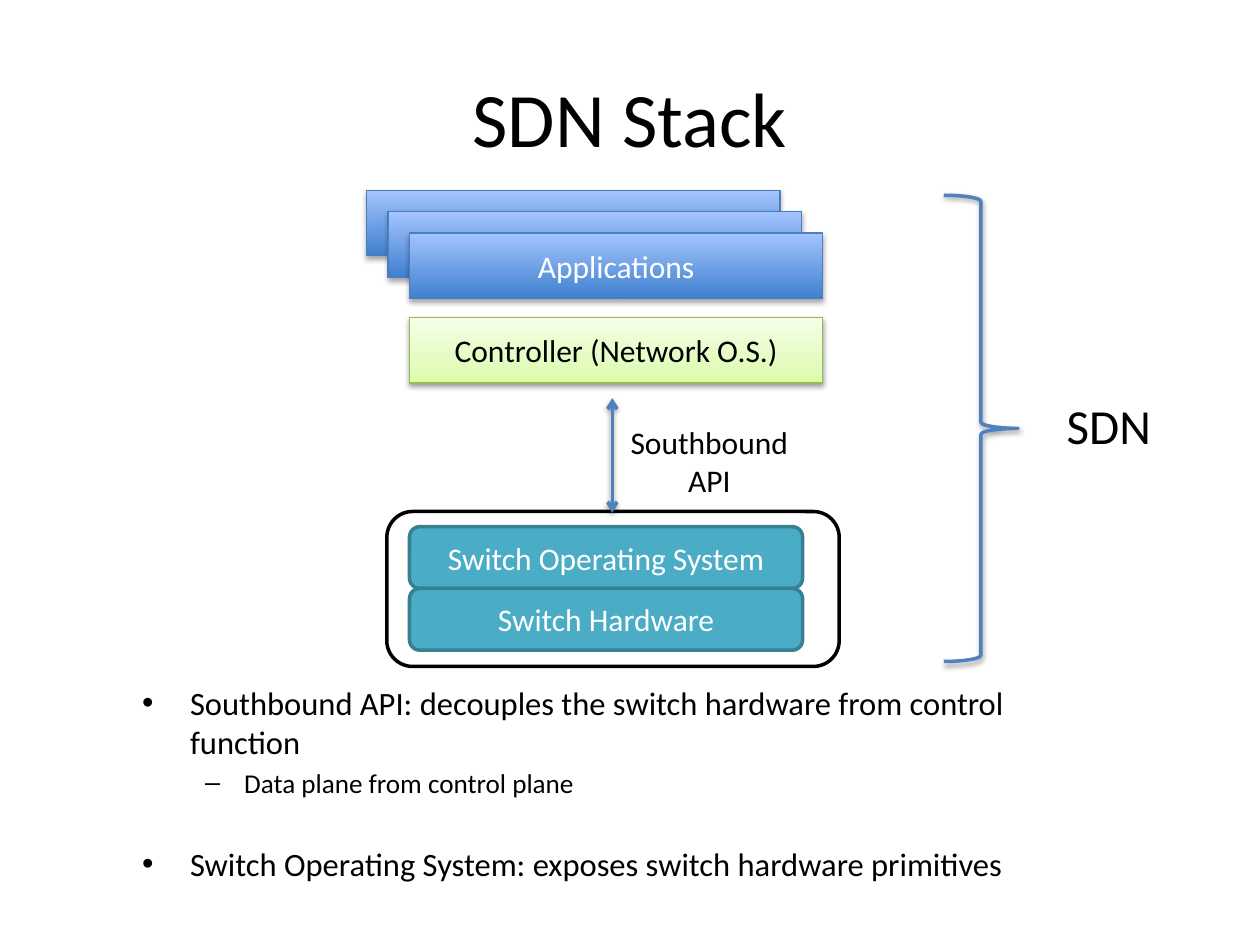
"""Build the SDN Stack slide."""
from pptx import Presentation
from pptx.dml.color import RGBColor
from pptx.enum.shapes import MSO_CONNECTOR, MSO_SHAPE as Preset
from pptx.enum.text import MSO_ANCHOR as Anchor, PP_ALIGN as Align
from pptx.oxml import parse_xml
from pptx.oxml.ns import nsdecls
from pptx.util import Inches, Pt

BLACK = RGBColor(0x00, 0x00, 0x00)
WHITE = RGBColor(0xFF, 0xFF, 0xFF)
BLUE = RGBColor(0x4F, 0x81, 0xBD)
BLUE_EDGE = RGBColor(0x4B, 0x7E, 0xBC)
GREEN_EDGE = RGBColor(0x98, 0xB9, 0x55)
TEAL = RGBColor(0x4B, 0xAC, 0xC6)
TEAL_EDGE = RGBColor(0x37, 0x7F, 0x92)
BLUE_FADE = [(0, RGBColor(0x3F, 0x80, 0xCE)), (100, RGBColor(0xA4, 0xC4, 0xFF))]
GREEN_FADE = [(0, RGBColor(0xDA, 0xFD, 0xA7)), (35, RGBColor(0xE4, 0xFC, 0xC2)),
              (100, RGBColor(0xF5, 0xFF, 0xE7))]

SOFT = {"alpha": 38, "distance": 1.6}
APP_SHADOW = {"alpha": 35, "distance": 1.8}
LAYER_LEFT = 3.25
LAYER_SIZE = (3.28, 0.52)
APP_TOP, APP_STEP = 1.85, 0.17
APPLICATIONS = ["", "", "Applications"]
SWITCH_LAYERS = ["Switch Operating System", "Switch Hardware"]
SWITCH_TOP, SWITCH_SIZE = 4.18, (3.12, 0.49)
LABELS = [
    ((0.5, 0.3, 9, 1.25), ["SDN Stack"], 44, {"wrap": True, "anchor": Anchor.MIDDLE}),
    ((4.9, 3.31, 1.46, 0.71), ["Southbound", "API"], 18, {}),
    ((8.36, 3.09, 0.88, 0.57), ["SDN"], 28, {}),
]
NOTES_AREA = (1.03, 5.37, 7.05, 1.73)
NOTES = [
    (0, "Southbound API: decouples the switch hardware from control function", 3.7),
    (1, "Data plane from control plane", 3.1),
    (0, "Switch Operating System: exposes switch hardware primitives", 25.7),
]
NOTE_LEVELS = [
    {"size": 18.6, "left": 0.38, "hang": 0.38, "bullet": "•"},
    {"size": 15.5, "left": 0.81, "hang": 0.31, "bullet": "–"},
]


def write(para, text, size, color=BLACK, align=Align.CENTER):
    para.alignment = align
    span = para.add_run()
    span.text = text
    formats = {"name": "Calibri", "size": Pt(size)}
    for name, value in formats.items():
        setattr(span.font, name, value)
    span.font.color.rgb = color


def set_gradient(shape, stops):
    shape.fill.background()
    marks = "".join(f'<a:gs pos="{place * 1000}"><a:srgbClr val="{color}"/></a:gs>'
                    for place, color in stops)
    fade = parse_xml(f'<a:gradFill {nsdecls("a")} rotWithShape="1"><a:gsLst>{marks}</a:gsLst>'
                     '<a:lin ang="16200000" scaled="0"/></a:gradFill>')
    properties = shape.element.spPr
    properties.replace(properties.find("{*}noFill"), fade)


def set_effect(shape, shadow):
    content = ""
    if shadow:
        content = (f'<a:outerShdw blurRad="{Pt(3.1)}" dist="{Pt(shadow["distance"])}" '
                   'dir="5400000" rotWithShape="0"><a:srgbClr val="000000">'
                   f'<a:alpha val="{shadow["alpha"] * 1000}"/></a:srgbClr></a:outerShdw>')
    shape.element.spPr.append(
        parse_xml(f'<a:effectLst {nsdecls("a")}>{content}</a:effectLst>'))


def set_line(shape, color, width):
    shape.line.color.rgb = color
    shape.line.width = Pt(width)


def add_box(page, preset, area, fill, edge, width, text="", color=WHITE, shadow=None):
    box = page.shapes.add_shape(preset, *map(Inches, area))
    if isinstance(fill, list):
        set_gradient(box, fill)
    elif fill is None:
        box.fill.background()
    else:
        box.fill.solid()
        box.fill.fore_color.rgb = fill
    set_line(box, edge, width)
    set_effect(box, shadow)
    if text:
        box.text_frame.vertical_anchor = Anchor.MIDDLE
        write(box.text_frame.paragraphs[0], text, 18, color)


def add_label(page, area, lines, size, wrap=False, anchor=Anchor.TOP):
    frame = page.shapes.add_textbox(*map(Inches, area)).text_frame
    frame.word_wrap = wrap
    frame.vertical_anchor = anchor
    for index, line in enumerate(lines):
        para = frame.add_paragraph() if index else frame.paragraphs[0]
        write(para, line, size)


def add_notes(page):
    frame = page.shapes.add_textbox(*map(Inches, NOTES_AREA)).text_frame
    frame.word_wrap = True
    for index, (level, text, space) in enumerate(NOTES):
        style = NOTE_LEVELS[level]
        para = frame.add_paragraph() if index else frame.paragraphs[0]
        para.level = level
        para.space_before = Pt(space)
        write(para, text, style["size"], align=Align.LEFT)
        properties = para._p.get_or_add_pPr()
        properties.set("marL", str(Inches(style["left"])))
        properties.set("indent", str(-Inches(style["hang"])))
        properties.append(parse_xml(f'<a:buFont {nsdecls("a")} typeface="Arial"/>'))
        properties.append(parse_xml(f'<a:buChar {nsdecls("a")} char="{style["bullet"]}"/>'))


def add_double_arrow(page, x, top, bottom):
    arrow = page.shapes.add_connector(
        MSO_CONNECTOR.STRAIGHT, *map(Inches, (x, top, x, bottom)))
    set_line(arrow, BLUE, 2)
    for end in ("headEnd", "tailEnd"):
        arrow.line._ln.append(parse_xml(f'<a:{end} {nsdecls("a")} type="arrow"/>'))
    set_effect(arrow, SOFT)


def main():
    deck = Presentation()
    deck.slide_width, deck.slide_height = Inches(10), Inches(7.5)
    page = deck.slides.add_slide(deck.slide_layouts[6])

    add_box(page, Preset.ROUNDED_RECTANGLE, (3.07, 4.06, 3.59, 1.23), WHITE, BLACK, 2)
    add_notes(page)
    add_box(page, Preset.RECTANGLE, (LAYER_LEFT, 2.52, *LAYER_SIZE), GREEN_FADE, GREEN_EDGE,
            0.75, "Controller (Network O.S.)", BLACK, SOFT)
    for index, text in enumerate(APPLICATIONS):
        shift = APP_STEP * (len(APPLICATIONS) - 1 - index)
        add_box(page, Preset.RECTANGLE, (LAYER_LEFT - shift, APP_TOP - shift, *LAYER_SIZE),
                BLUE_FADE, BLUE_EDGE, 0.75, text, shadow=APP_SHADOW)
    for area, lines, size, options in LABELS:
        add_label(page, area, lines, size, **options)
    add_box(page, Preset.RIGHT_BRACE, (7.49, 1.55, 0.59, 3.7), None, BLUE, 2, shadow=SOFT)
    add_double_arrow(page, 4.86, 3.16, 4.07)
    for index, text in enumerate(SWITCH_LAYERS):
        top = SWITCH_TOP + index * SWITCH_SIZE[1]
        add_box(page, Preset.ROUNDED_RECTANGLE, (LAYER_LEFT, top, *SWITCH_SIZE),
                TEAL, TEAL_EDGE, 2, text)

    deck.save("out.pptx")


if __name__ == "__main__":
    main()
